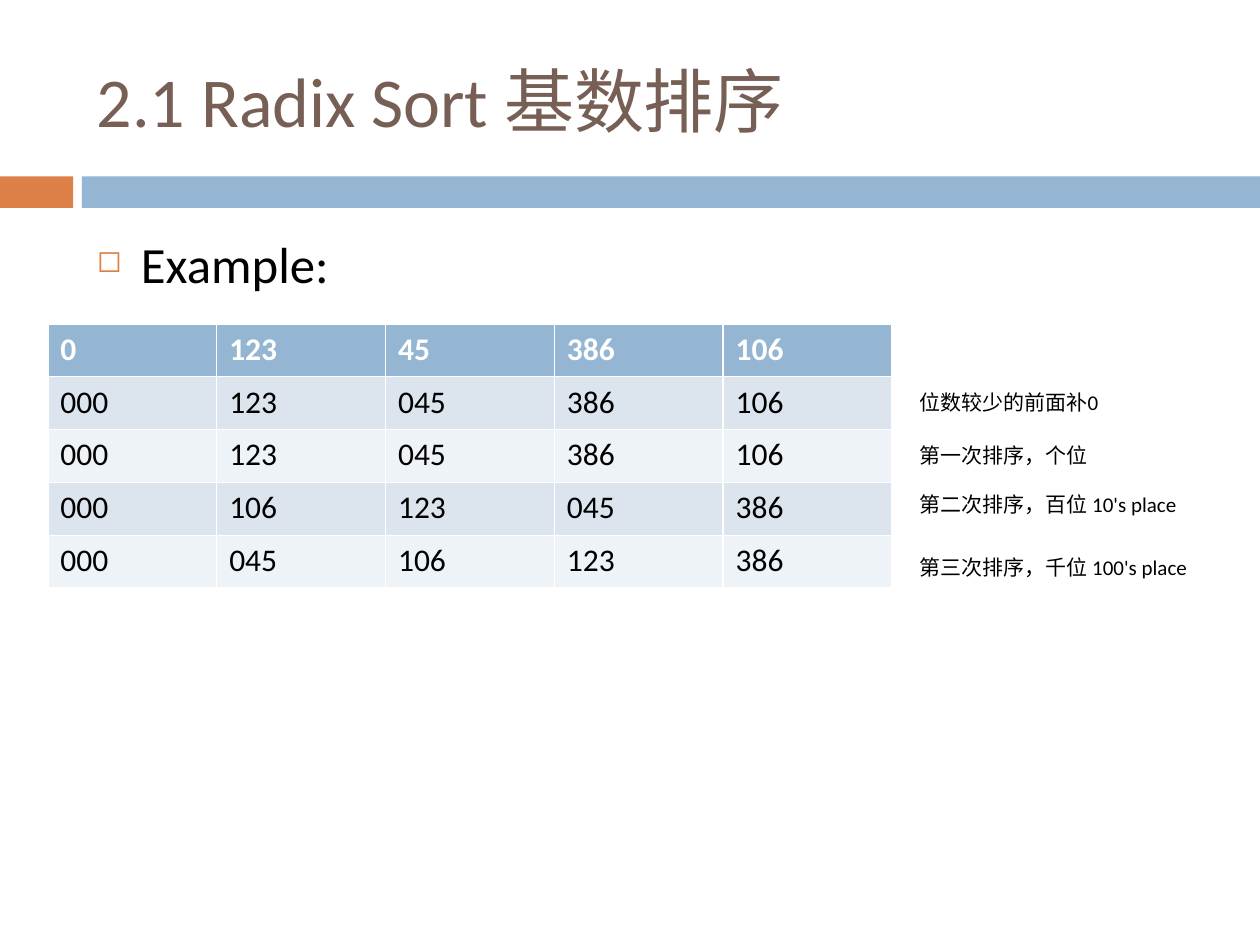
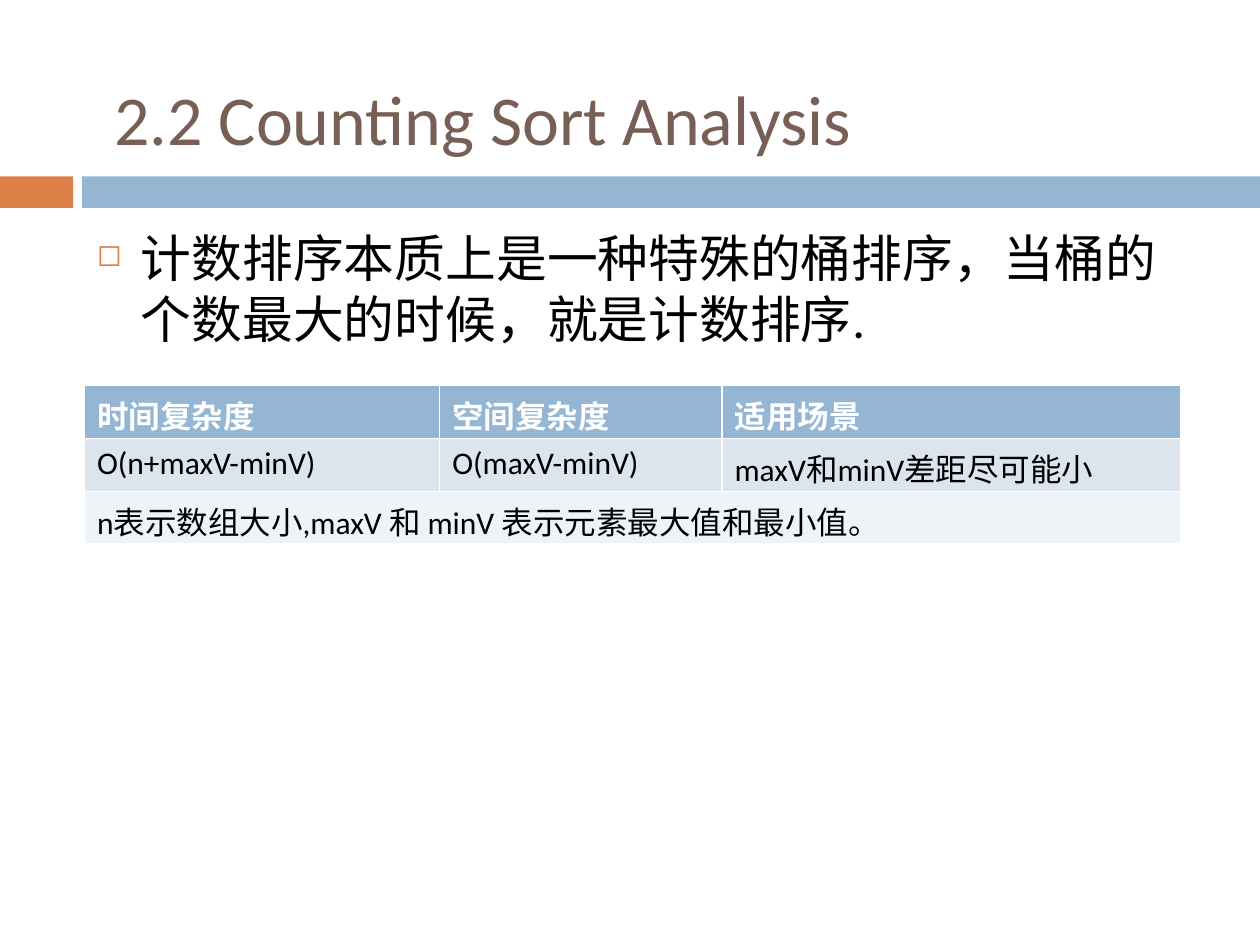
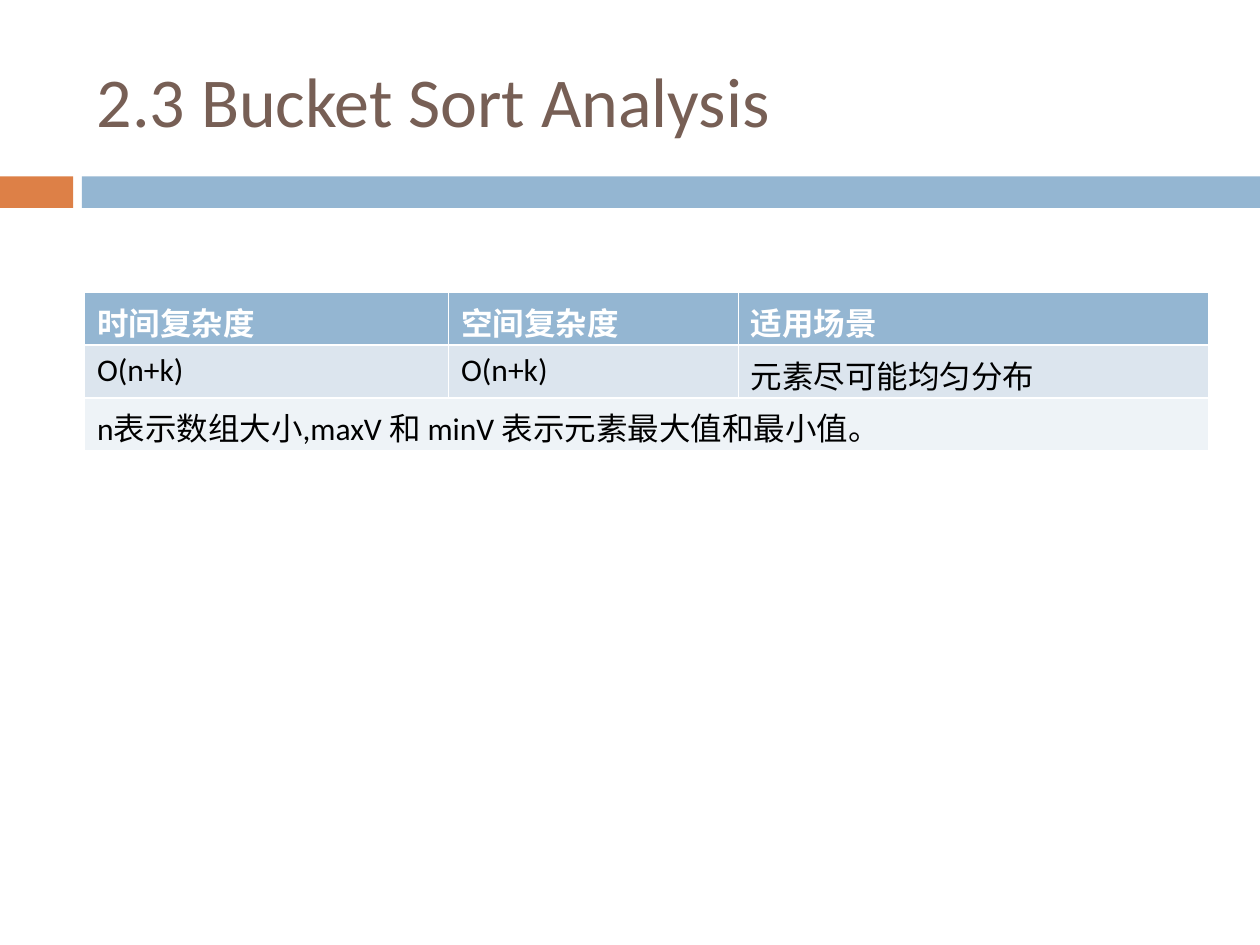
"""Build three slides on radix, counting and bucket sort."""
from dataclasses import dataclass

from lxml import etree
from pptx import Presentation
from pptx.dml.color import RGBColor
from pptx.enum import shapes, text
from pptx.oxml import ns
from pptx.util import Inches, Pt


@dataclass(frozen=True)
class Theme:
    font: str = "Calibri"
    title: str = "775F55"
    ink: str = "000000"
    white: str = "FFFFFF"
    orange: str = "DD8047"
    blue: str = "94B6D2"
    odd_row: str = "DCE5EE"
    even_row: str = "EEF3F7"
    title_size: int = 40
    body_size: int = 29
    table_size: int = 18
    note_size: int = 12


theme = Theme()


def add_text(slide, words, box, size, color, anchor=text.MSO_ANCHOR.TOP):
    frame = slide.shapes.add_textbox(*map(Inches, box)).text_frame
    frame.word_wrap = True
    frame.vertical_anchor = anchor
    paragraph = frame.paragraphs[0]
    paragraph.text = words
    paragraph.font.name = theme.font
    paragraph.font.size = Pt(size)
    paragraph.font.color.rgb = RGBColor.from_string(color)
    return paragraph


def add_grid(slide, left, top, widths, rows):
    row_height = 0.42
    grid = slide.shapes.add_table(
        len(rows), len(widths), Inches(left), Inches(top),
        Inches(sum(widths)), Inches(row_height * len(rows))).table
    for column, width in zip(grid.columns, widths):
        column.width = Inches(width)
    for r, row in enumerate(rows):
        header = r == 0
        fill = theme.blue if header else theme.odd_row if r % 2 else theme.even_row
        if len(row) == 1:
            grid.cell(r, 0).merge(grid.cell(r, len(widths) - 1))
        for c, words in enumerate(row):
            cell = grid.cell(r, c)
            cell.fill.solid()
            cell.fill.fore_color.rgb = RGBColor.from_string(fill)
            paragraph = cell.text_frame.paragraphs[0]
            paragraph.text = words
            paragraph.font.name = theme.font
            paragraph.font.size = Pt(theme.table_size)
            paragraph.font.bold = header
            paragraph.font.color.rgb = RGBColor.from_string(
                theme.white if header else theme.ink)


complexity_header = ["时间复杂度", "空间复杂度", "适用场景"]
symbols_row = ["n表示数组大小,maxV 和 minV 表示元素最大值和最小值。"]

topics = [
    {
        "title": ("2.1 Radix Sort 基数排序", 0.67, 0.25),
        "point": ("Example:", 1.8, 3.62),
        "grid": (0.38, 2.57, [1.34] * 5, [
            ["0", "123", "45", "386", "106"],
            ["000", "123", "045", "386", "106"],
            ["000", "123", "045", "386", "106"],
            ["000", "106", "123", "045", "386"],
            ["000", "045", "106", "123", "386"],
        ]),
        "steps": [
            ("位数较少的前面补0", 3.04),
            ("第一次排序，个位", 3.46),
            ("第二次排序，百位 10's place", 3.85),
            ("第三次排序，千位 100's place", 4.35),
        ],
    },
    {
        "title": ("2.2 Counting Sort Analysis", 0.81, 0.39),
        "point": ("计数排序本质上是一种特殊的桶排序，当桶的个数最大的时候，就是计数排序.",
                  1.75, 2.74),
        "grid": (0.67, 3.06, [2.82, 2.24, 3.64], [
            complexity_header,
            ["O(n+maxV-minV)", "O(maxV-minV)", "maxV和minV差距尽可能小"],
            symbols_row,
        ]),
    },
    {
        "title": ("2.3 Bucket Sort Analysis", 0.67, 0.25),
        "grid": (0.67, 2.32, [2.89, 2.3, 3.73], [
            complexity_header,
            ["O(n+k)", "O(n+k)", "元素尽可能均匀分布"],
            symbols_row,
        ]),
    },
]

deck = Presentation()
deck.slide_width, deck.slide_height = Inches(10), Inches(7.5)

for topic in topics:
    slide = deck.slides.add_slide(deck.slide_layouts[6])

    for left, width, color in [(0, 0.58, theme.orange), (0.65, 9.35, theme.blue)]:
        band = slide.shapes.add_shape(
            shapes.MSO_SHAPE.RECTANGLE, Inches(left), Inches(1.4),
            Inches(width), Inches(0.25))
        band.shadow.inherit = False
        band.fill.solid()
        band.fill.fore_color.rgb = RGBColor.from_string(color)
        band.line.fill.background()

    heading, left, top = topic["title"]
    add_text(slide, heading, (left, top, 8.92, 1.08),
             theme.title_size, theme.title, text.MSO_ANCHOR.MIDDLE)

    if "point" in topic:
        words, top, height = topic["point"]
        point = add_text(slide, words, (0.67, top, 8.92, height),
                         theme.body_size, theme.ink)
        point.space_before = Pt(7)
        bullet = point._p.get_or_add_pPr()
        bullet.set("marL", str(Inches(0.35)))
        bullet.set("indent", str(-Inches(0.35)))
        bullet_color = etree.SubElement(bullet, ns.qn("a:buClr"))
        etree.SubElement(bullet_color, ns.qn("a:srgbClr"), val=theme.orange)
        etree.SubElement(bullet, ns.qn("a:buSzPct"), val="60000")
        etree.SubElement(bullet, ns.qn("a:buChar"), char="◻")

    add_grid(slide, *topic["grid"])

    for step, top in topic.get("steps", []):
        add_text(slide, step, (7.2, top, 2.66, 0.3), theme.note_size, theme.ink)

deck.save("out.pptx")
